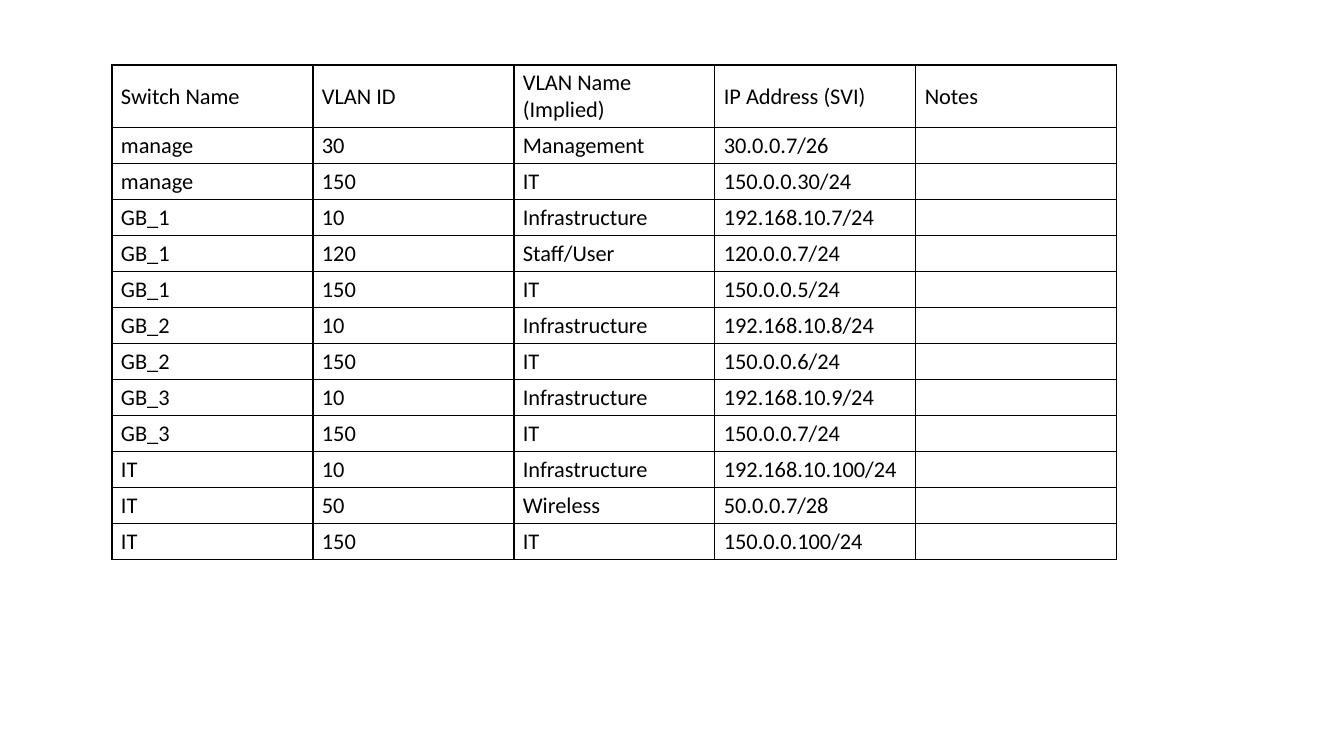
from lxml.etree import SubElement
from pptx import Presentation
from pptx.dml.color import RGBColor
from pptx.enum.text import MSO_ANCHOR as Anchor
from pptx.oxml.ns import qn
from pptx.util import Pt

PX = 914400 / 100.8
BLACK = RGBColor(0x00, 0x00, 0x00)
FONT = "Calibri"
TEXT_SIZE = 16

TABLE_LEFT, TABLE_TOP = 112, 65
COLUMN_WIDTH = 201
HEADER_HEIGHT, ROW_HEIGHT = 62, 36
SIDE_MARGIN, END_MARGIN = 9, 4

HEADERS = ("Switch Name", "VLAN ID", "VLAN Name (Implied)", "IP Address (SVI)", "Notes")
VLAN_NAMES = {
    10: "Infrastructure",
    30: "Management",
    50: "Wireless",
    120: "Staff/User",
    150: "IT",
}
INTERFACES = (
    ("manage", 30, "30.0.0.7/26"),
    ("manage", 150, "150.0.0.30/24"),
    ("GB_1", 10, "192.168.10.7/24"),
    ("GB_1", 120, "120.0.0.7/24"),
    ("GB_1", 150, "150.0.0.5/24"),
    ("GB_2", 10, "192.168.10.8/24"),
    ("GB_2", 150, "150.0.0.6/24"),
    ("GB_3", 10, "192.168.10.9/24"),
    ("GB_3", 150, "150.0.0.7/24"),
    ("IT", 10, "192.168.10.100/24"),
    ("IT", 50, "50.0.0.7/28"),
    ("IT", 150, "150.0.0.100/24"),
)


def px(length):
    return round(length * PX)


def write_text(frame, text, size=TEXT_SIZE, font=FONT, color=BLACK):
    """Write one paragraph; an empty one keeps the size so its row stays low."""
    para = frame.paragraphs[0]
    if not text:
        SubElement(para._p, qn("a:endParaRPr"), sz=str(size * 100))
        return
    span = para.add_run()
    span.text = text
    span.font.size = Pt(size)
    span.font.name = font
    span.font.color.rgb = color


def add_borders(cell, color=BLACK, width=1):
    properties = cell._tc.get_or_add_tcPr()
    for side in ("lnL", "lnR", "lnT", "lnB"):
        line = SubElement(properties, qn(f"a:{side}"), w=str(Pt(width)))
        fill = SubElement(line, qn("a:solidFill"))
        SubElement(fill, qn("a:srgbClr"), val=str(color))


def format_cell(cell, text):
    add_borders(cell)
    cell.fill.background()
    cell.vertical_anchor = Anchor.MIDDLE
    cell.margin_left = cell.margin_right = px(SIDE_MARGIN)
    cell.margin_top = cell.margin_bottom = px(END_MARGIN)
    write_text(cell.text_frame, text)


def add_grid(page, rows):
    height = HEADER_HEIGHT + ROW_HEIGHT * (len(rows) - 1)
    frame = page.shapes.add_table(
        len(rows), len(HEADERS), px(TABLE_LEFT), px(TABLE_TOP),
        px(COLUMN_WIDTH * len(HEADERS)), px(height))
    table = frame.table
    table.first_row = table.horz_banding = False
    for column in table.columns:
        column.width = px(COLUMN_WIDTH)
    for index, texts in enumerate(rows):
        table.rows[index].height = px(ROW_HEIGHT if index else HEADER_HEIGHT)
        for cell, text in zip(table.rows[index].cells, texts):
            format_cell(cell, text)


def main():
    deck = Presentation()
    deck.slide_width, deck.slide_height = px(1344), px(756)
    page = deck.slides.add_slide(deck.slide_layouts[6])
    rows = [HEADERS]
    for switch, vlan, address in INTERFACES:
        rows.append((switch, str(vlan), VLAN_NAMES[vlan], address, ""))
    add_grid(page, rows)
    deck.save("out.pptx")


if __name__ == "__main__":
    main()
